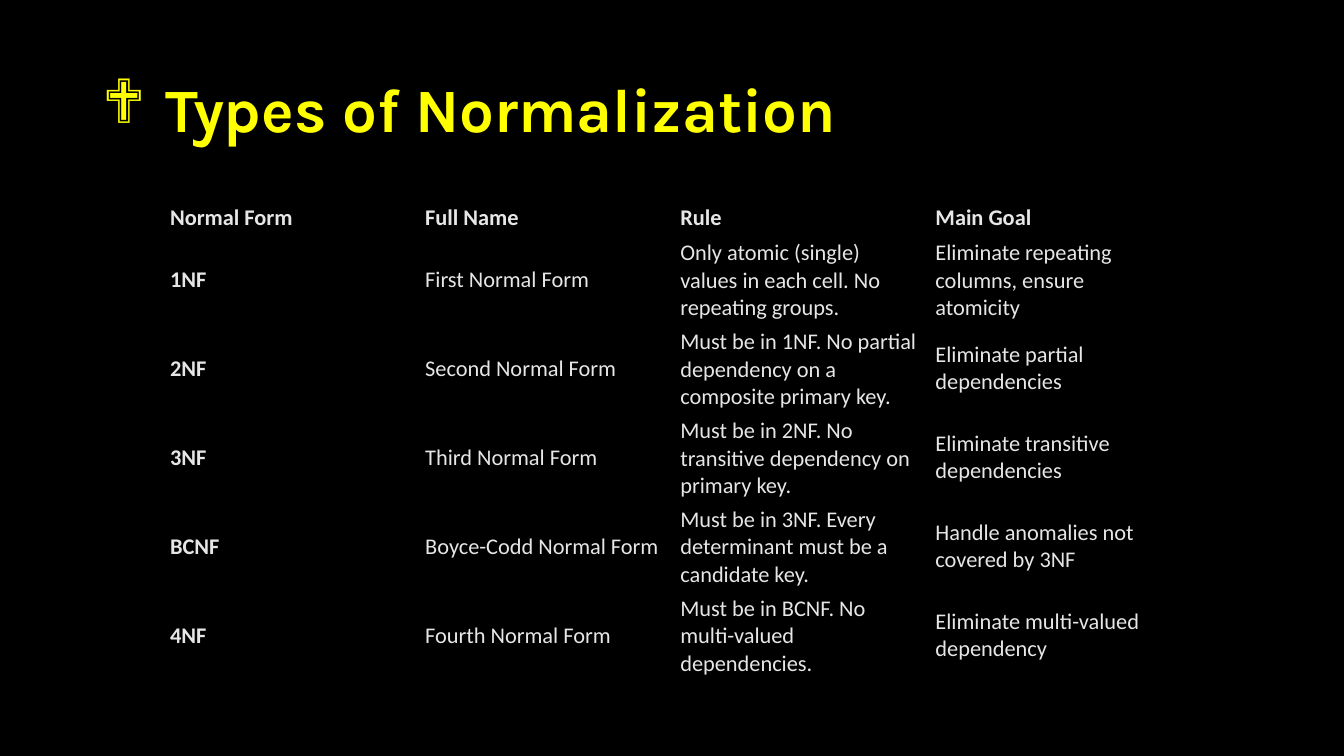
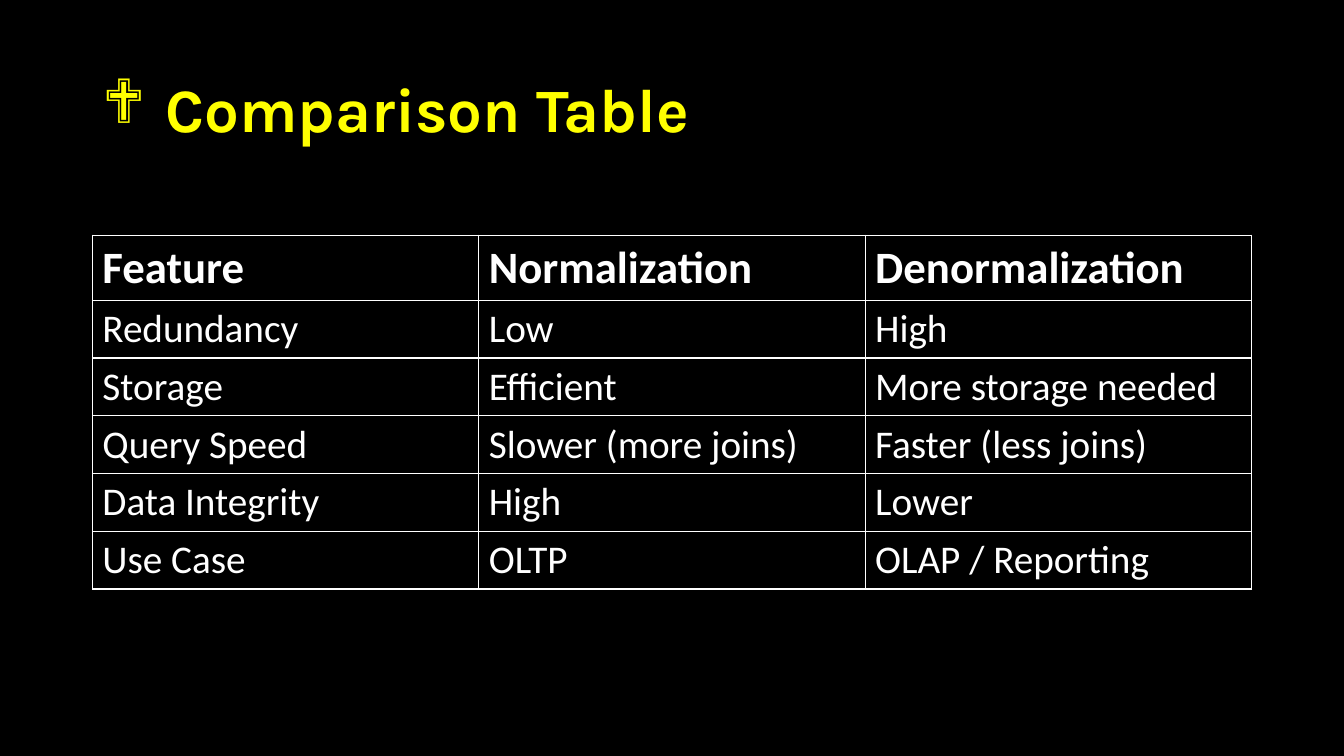
import pptx
import pptx.dml.color
import pptx.enum.text
import pptx.oxml
import pptx.oxml.ns
import pptx.util

PX = 9525
COLORS = {
    "background": "000000",
    "title": "FFFF00",
    "light": "E7E6E6",
    "white": "FFFFFF",
}
BODY_FONT = "Calibri"
TITLE_FONT = "Karla"
NO_STYLE = "{2D5ABB26-0587-4C30-8999-92F81FD0307C}"
MIDDLE = pptx.enum.text.MSO_ANCHOR.MIDDLE

NORMAL_FORMS = [
    ("Normal Form", "Full Name", "Rule", "Main Goal"),
    ("1NF", "First Normal Form",
     "Only atomic (single) values in each cell. No repeating groups.",
     "Eliminate repeating columns, ensure atomicity"),
    ("2NF", "Second Normal Form",
     "Must be in 1NF. No partial dependency on a composite primary key.",
     "Eliminate partial dependencies"),
    ("3NF", "Third Normal Form",
     "Must be in 2NF. No transitive dependency on primary key.",
     "Eliminate transitive dependencies"),
    ("BCNF", "Boyce-Codd Normal Form",
     "Must be in 3NF. Every determinant must be a candidate key.",
     "Handle anomalies not covered by 3NF"),
    ("4NF", "Fourth Normal Form",
     "Must be in BCNF. No multi-valued dependencies.",
     "Eliminate multi-valued dependency"),
]
COMPARISON = [
    ("Feature", "Normalization", "Denormalization"),
    ("Redundancy", "Low", "High"),
    ("Storage", "Efficient", "More storage needed"),
    ("Query Speed", "Slower (more joins)", "Faster (less joins)"),
    ("Data Integrity", "High", "Lower"),
    ("Use Case", "OLTP", "OLAP / Reporting"),
]


def rgb(name):
    return pptx.dml.color.RGBColor.from_string(COLORS[name])


def parse_xml(tag, attributes, content=""):
    namespace = pptx.oxml.ns.nsdecls("a")
    return pptx.oxml.parse_xml(f"<a:{tag} {namespace} {attributes}>{content}</a:{tag}>")


def set_font(paragraph, name, size, color, bold):
    font = paragraph.font
    font.name = name
    font.size = pptx.util.Pt(size)
    font.color.rgb = rgb(color)
    font.bold = bold


def add_bullet(paragraph, character, indent):
    properties = paragraph._p.get_or_add_pPr()
    properties.set("marL", str(indent * PX))
    properties.set("indent", str(-indent * PX))
    bullet_parts = [
        parse_xml("buFont", 'typeface="Wingdings"'),
        parse_xml("buChar", f'char="{character}"'),
    ]
    properties.insert_element_before(bullet_parts[0], "a:defRPr")
    properties.insert_element_before(bullet_parts[1], "a:defRPr")


def add_titled_slide(presentation, title):
    slide = presentation.slides.add_slide(presentation.slide_layouts[6])
    fill = slide.background.fill
    fill.solid()
    fill.fore_color.rgb = rgb("background")
    box = slide.shapes.add_textbox(88 * PX, 38 * PX, 1104 * PX, 139 * PX)
    frame = box.text_frame
    frame.word_wrap = True
    frame.vertical_anchor = MIDDLE
    paragraph = frame.paragraphs[0]
    paragraph.text = title
    paragraph.line_spacing = 0.9
    set_font(paragraph, TITLE_FONT, 44, "title", True)
    add_bullet(paragraph, "❖", 60)
    return slide


def add_table(slide, rows, left, top, column_width, row_heights, sizes, color,
              bold_first_column=False, margins=None):
    column_count = len(rows[0])
    shape = slide.shapes.add_table(
        len(rows), column_count, left * PX, top * PX,
        column_width * column_count * PX, sum(row_heights) * PX)
    table = shape.table
    table.horz_banding = False
    for style in shape.element.iter(pptx.oxml.ns.qn("a:tableStyleId")):
        style.text = NO_STYLE
    for column in table.columns:
        column.width = column_width * PX
    for row_index, texts in enumerate(rows):
        table.rows[row_index].height = row_heights[row_index] * PX
        for column_index, text in enumerate(texts):
            cell = table.cell(row_index, column_index)
            cell.fill.background()
            cell.vertical_anchor = MIDDLE
            if margins:
                cell.margin_left = cell.margin_right = margins[0] * PX
                cell.margin_top = cell.margin_bottom = margins[1] * PX
            paragraph = cell.text_frame.paragraphs[0]
            paragraph.text = text
            is_header = row_index == 0
            bold = is_header or (bold_first_column and column_index == 0)
            set_font(paragraph, BODY_FONT, sizes[0 if is_header else 1], color, bold)
    return shape


def add_borders(shape, color, width):
    line_fill = f'<a:solidFill><a:srgbClr val="{COLORS[color]}"/></a:solidFill>'
    for properties in shape.element.iter(pptx.oxml.ns.qn("a:tcPr")):
        for index, side in enumerate(("lnL", "lnR", "lnT", "lnB")):
            border = parse_xml(side, f'w="{pptx.util.Pt(width)}"', line_fill)
            properties.insert(index, border)


def main():
    presentation = pptx.Presentation()
    presentation.slide_width = 1280 * PX
    presentation.slide_height = 720 * PX

    slide = add_titled_slide(presentation, "Types of Normalization")
    add_table(slide, NORMAL_FORMS, 154, 190, 243, [34] + [84] * 5, (16, 16),
              "light", bold_first_column=True, margins=(8, 4))

    slide = add_titled_slide(presentation, "Comparison Table")
    comparison = add_table(slide, COMPARISON, 88, 224, 368, [62] + [55] * 5,
                           (32, 28), "white")
    add_borders(comparison, "white", 1)

    presentation.save("out.pptx")


if __name__ == "__main__":
    main()
